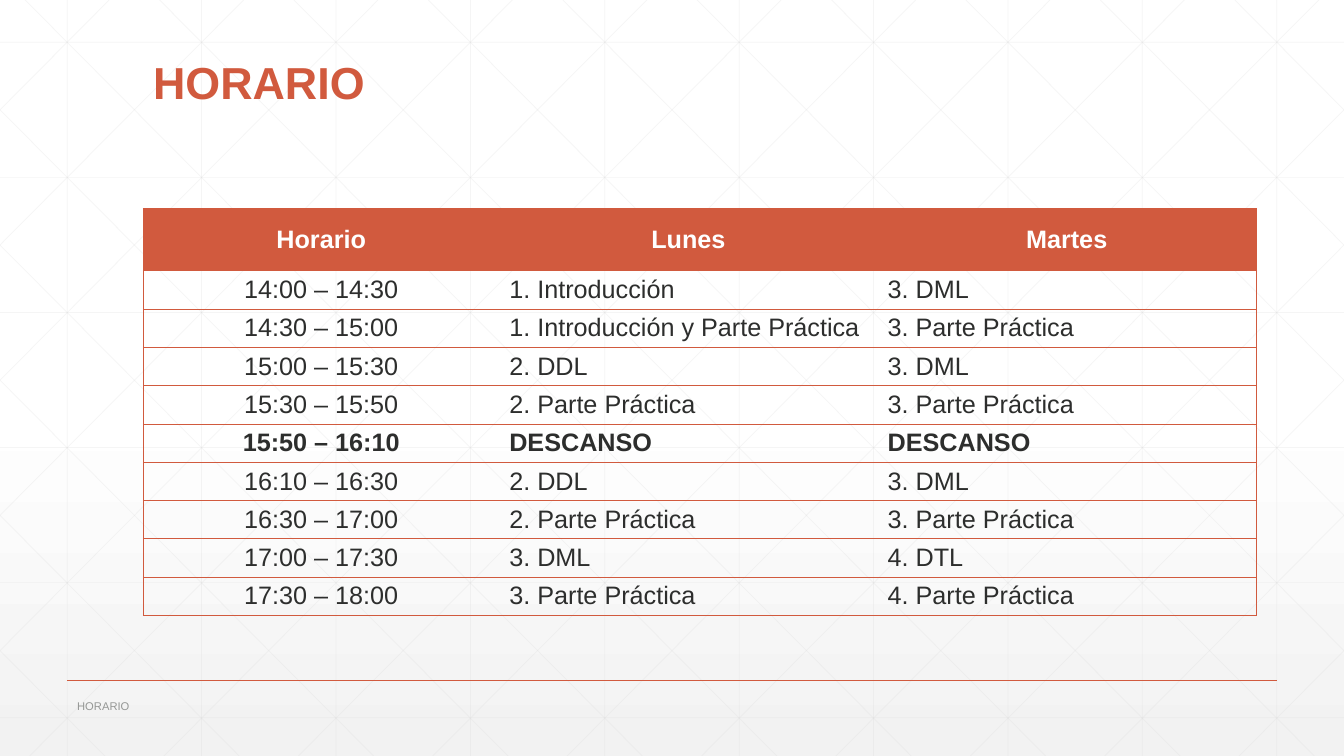
from copy import deepcopy
from dataclasses import dataclass

from lxml.etree import SubElement
from pptx import Presentation
from pptx.dml.color import RGBColor as Rgb
from pptx.enum.shapes import MSO_CONNECTOR as Connector
from pptx.enum.text import MSO_ANCHOR as Anchor, PP_ALIGN as Align
from pptx.oxml import parse_xml
from pptx.oxml.ns import nsdecls, qn
from pptx.util import Inches, Pt

COLUMN, ROW = Inches(13.333) / 40, Inches(7.5) / 30


@dataclass(frozen=True)
class Theme:
    """Colours and type sizes of the deck."""
    accent: str = "D15A3E"
    ink: str = "2D2E2D"
    muted: str = "959795"
    paper: str = "FFFFFF"
    shade: str = "F2F2F2"
    lattice: str = "D9D9D9"
    font: str = "Arial"
    title: int = 32
    body: int = 18
    footer: int = 8


@dataclass(frozen=True)
class Box:
    """Area measured in grid columns and rows."""
    left: float
    top: float
    width: float
    height: float

    def lengths(self):
        """Return the area in slide units."""
        return (round(self.left * COLUMN), round(self.top * ROW),
                round(self.width * COLUMN), round(self.height * ROW))


THEME = Theme()
HEADER = ("Horario", "Lunes", "Martes")
SESSIONS = (
    ("14:00 – 14:30", "1. Introducción", "3. DML"),
    ("14:30 – 15:00", "1. Introducción y Parte Práctica", "3. Parte Práctica"),
    ("15:00 – 15:30", "2. DDL", "3. DML"),
    ("15:30 – 15:50", "2. Parte Práctica", "3. Parte Práctica"),
    ("15:50 – 16:10", "DESCANSO", "DESCANSO"),
    ("16:10 – 16:30", "2. DDL", "3. DML"),
    ("16:30 – 17:00", "2. Parte Práctica", "3. Parte Práctica"),
    ("17:00 – 17:30", "3. DML", "4. DTL"),
    ("17:30 – 18:00", "3. Parte Práctica", "4. Parte Práctica"),
)


def write(frame, text, size, color, bold=False, align=Align.LEFT, spacing=1.0):
    """Write one formatted paragraph into a text frame."""
    frame.word_wrap = True
    para = frame.paragraphs[0]
    para.alignment, para.line_spacing = align, spacing
    span = para.add_run()
    span.text = text
    span.font.name, span.font.size, span.font.bold = THEME.font, Pt(size), bold
    span.font.color.rgb = Rgb.from_string(color)


def add_text(slide, box, text, anchor, **style):
    """Place a text box in the given area."""
    frame = slide.shapes.add_textbox(*box.lengths()).text_frame
    frame.vertical_anchor = anchor
    write(frame, text, **style)


def add_line(slide, start, end, color, width, alpha=None):
    """Draw a straight line between two grid points."""
    ends = [round(value * unit) for point in (start, end)
            for value, unit in zip(point, (COLUMN, ROW))]
    line = slide.shapes.add_connector(Connector.STRAIGHT, *ends)
    line.line.color.rgb = Rgb.from_string(color)
    line.line.width = Pt(width)
    properties = line._element.spPr
    SubElement(properties, qn("a:effectLst"))
    if alpha is not None:
        tint = properties.find(".//" + qn("a:srgbClr"))
        SubElement(tint, qn("a:alpha")).set("val", str(alpha * 1000))


def add_background(slide):
    """Fill the slide with a vertical gradient."""
    fill = slide.background.fill
    fill.gradient()
    fill.gradient_angle = 270
    stops = slide._element.find(".//" + qn("a:gsLst"))
    stops.insert(1, deepcopy(stops[0]))
    colors = (THEME.paper, THEME.paper, THEME.shade)
    for stop, position, color in zip(fill.gradient_stops, (0, 0.53, 1), colors):
        stop.position = position
        stop.color.rgb = Rgb.from_string(color)


def add_lattice(slide, box):
    """Cover the area with upright, level and mirrored slanting lines."""
    right, bottom = box.left + box.width, box.top + box.height
    pitch, run = box.width / 10, 22.37
    segments = []
    for index in range(10):
        x = box.left + pitch * (index + 0.5)
        segments.append(((x, box.top), (x, bottom)))
    for index in range(6):
        y = box.top + 1.68 + 5.36 * index
        segments.append(((box.left, y), (right, y)))
    for index in range(-5, 10):
        x = 0.75 + pitch * index
        shares = max(0, -x / run), min(1, (box.width - x) / run)
        slant = [(x + run * share, box.top + box.height * share) for share in shares]
        segments.append([(box.left + across, y) for across, y in slant])
        segments.append([(right - across, y) for across, y in slant])
    for start, end in segments:
        add_line(slide, start, end, THEME.lattice, 0.5, alpha=25)


def set_borders(cell, visible):
    """Show the named cell sides and hide the others."""
    properties = cell._tc.get_or_add_tcPr()
    solid = f'<a:solidFill><a:srgbClr val="{THEME.accent}"/></a:solidFill>'
    for index, side in enumerate("LRTB"):
        fill = solid if side in visible else "<a:noFill/>"
        border = f'<a:ln{side} {nsdecls("a")} w="6350">{fill}</a:ln{side}>'
        properties.insert(index, parse_xml(border))


def add_schedule(slide, box):
    """Place the timetable in the given area."""
    rows = (HEADER, *SESSIONS)
    table = slide.shapes.add_table(len(rows), len(HEADER), *box.lengths()).table
    table.horz_banding = False
    for column, share in zip(table.columns, (0.32, 0.34, 0.34)):
        column.width = round(box.width * share * COLUMN)
    header_height = 2.46
    session_height = (box.height - header_height) / len(SESSIONS)
    for row_index, texts in enumerate(rows):
        header = row_index == 0
        height = header_height if header else session_height
        table.rows[row_index].height = round(height * ROW)
        for column_index, text in enumerate(texts):
            cell = table.cell(row_index, column_index)
            cell.vertical_anchor = Anchor.MIDDLE
            cell.margin_top = cell.margin_bottom = Inches(0.04)
            if header:
                cell.fill.solid()
                cell.fill.fore_color.rgb = Rgb.from_string(THEME.accent)
            else:
                cell.fill.background()
            set_borders(cell, "TB" + ("L", "", "R")[column_index])
            write(cell.text_frame, text, THEME.body,
                  THEME.paper if header else THEME.ink,
                  bold=header or "DESCANSO" in texts,
                  align=Align.CENTER if header or column_index == 0 else Align.LEFT)


def add_footer(slide, box, text):
    """Place the rule and the footer text below it."""
    add_line(slide, (box.left, box.top), (box.left + box.width, box.top),
             THEME.accent, 1)
    area = Box(box.left, box.top + 0.52, box.width * 0.56, 0.96)
    add_text(slide, area, text, Anchor.MIDDLE, size=THEME.footer, color=THEME.muted)


def add_schedule_slide(deck):
    """Add the timetable slide to the deck."""
    slide = deck.slides.add_slide(deck.slide_layouts[6])
    add_background(slide)
    add_lattice(slide, Box(0, 0, 40, 30))
    add_schedule(slide, Box(4.26, 8.28, 33.12, 16.14))
    add_footer(slide, Box(2, 27, 36, 1.5), "HORARIO")
    add_text(slide, Box(4.26, 1.72, 31.5, 2.8), "HORARIO", Anchor.BOTTOM,
             size=THEME.title, color=THEME.accent, bold=True, spacing=0.9)


def main():
    """Build and save the deck."""
    deck = Presentation()
    deck.slide_width, deck.slide_height = round(40 * COLUMN), round(30 * ROW)
    add_schedule_slide(deck)
    deck.save("out.pptx")


if __name__ == "__main__":
    main()
